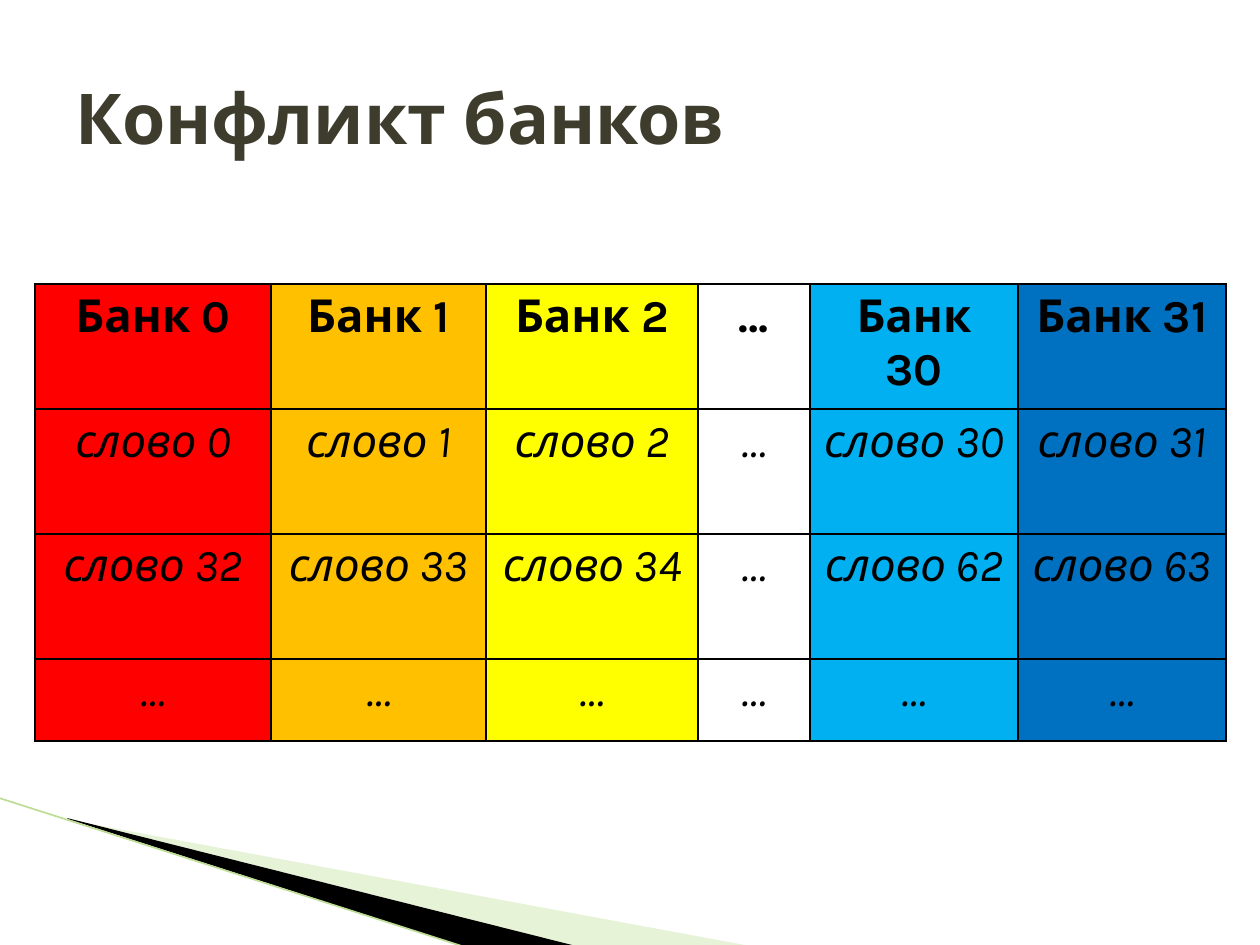
"""Build the slide about memory bank conflicts."""
from lxml.etree import SubElement
from pptx import Presentation
from pptx.dml.color import RGBColor as RGB
from pptx.enum.shapes import MSO_CONNECTOR as CONN
from pptx.enum.text import MSO_ANCHOR as ANCHOR, PP_ALIGN as ALIGN
from pptx.oxml.ns import qn
from pptx.util import Emu, Pt

PX = 914400 / 126
FONT = "Karla"
C = {
    "title": "3E3D2D", "black": "000000", "pale": "C3E19D", "line": "BDDC94",
    "red": "FF0000", "orange": "FFC000", "yellow": "FFFF00",
    "white": "FFFFFF", "sky": "00B0F0", "blue": "0070C0",
}


def px(n):
    return Emu(round(n * PX))


def add_run(p, text, size, color, bold=False, italic=False):
    r = p.add_run()
    r.text = text
    r.font.name = FONT
    r.font.size = Pt(size)
    r.font.bold = bold
    r.font.italic = italic
    r.font.color.rgb = RGB.from_string(C[color])


prs = Presentation()
prs.slide_width, prs.slide_height = px(1260), px(945)
s = prs.slides.add_slide(prs.slide_layouts[6])

wedges = [
    ("pale", 40, [(69, 820), (750, 946), (575, 946), (69, 819)]),
    ("black", 100, [(67, 818), (576, 946), (469, 948), (68, 819)]),
]
for color, opacity, points in wedges:
    fb = s.shapes.build_freeform(*points[0], scale=PX)
    fb.add_line_segments(points[1:], close=True)
    sp = fb.convert_to_shape()
    sp.shadow.inherit = False
    sp.fill.solid()
    sp.fill.fore_color.rgb = RGB.from_string(C[color])
    sp.line.fill.background()
    if opacity < 100:
        clr = sp.fill._xPr.find(qn("a:solidFill"))[0]
        SubElement(clr, qn("a:alpha"), val=str(opacity * 1000))

edge = s.shapes.add_connector(CONN.STRAIGHT, px(-1), px(798), px(468), px(948))
edge.line.color.rgb = RGB.from_string(C["line"])
edge.line.width = Pt(0.95)
SubElement(edge._element.spPr, qn("a:effectLst"))

title = s.shapes.add_textbox(px(63), px(38), px(1134), px(157))
tf = title.text_frame
tf.word_wrap = True
tf.vertical_anchor = ANCHOR.MIDDLE
add_run(tf.paragraphs[0], "Конфликт банков", 40, "title", bold=True)

banks = [
    ("red", 236, 0), ("orange", 215, 1), ("yellow", 212, 2),
    ("white", 112, None), ("sky", 208, 30), ("blue", 208, 31),
]
rows = [("Банк", 0, 125), ("слово", 0, 125), ("слово", 32, 125), (None, 0, 82)]
table = s.shapes.add_table(
    len(rows), len(banks), px(35), px(284),
    px(sum(b[1] for b in banks)), px(sum(r[2] for r in rows)),
).table

for j, (color, width, bank) in enumerate(banks):
    table.columns[j].width = px(width)
    for i, (word, offset, height) in enumerate(rows):
        table.rows[i].height = px(height)
        cell = table.cell(i, j)
        p = cell.text_frame.paragraphs[0]
        p.alignment = ALIGN.CENTER
        text = "…" if word is None or bank is None else f"{word} {bank + offset}"
        add_run(p, text, 26, "black", bold=i == 0, italic=i > 0)
        tcPr = cell._tc.get_or_add_tcPr()
        for side in ("a:lnL", "a:lnR", "a:lnT", "a:lnB"):
            ln = SubElement(tcPr, qn(side), w=str(Pt(1)))
            fill = SubElement(ln, qn("a:solidFill"))
            SubElement(fill, qn("a:srgbClr"), val=C["black"])
        cell.fill.solid()
        cell.fill.fore_color.rgb = RGB.from_string(C[color])

prs.save("out.pptx")
